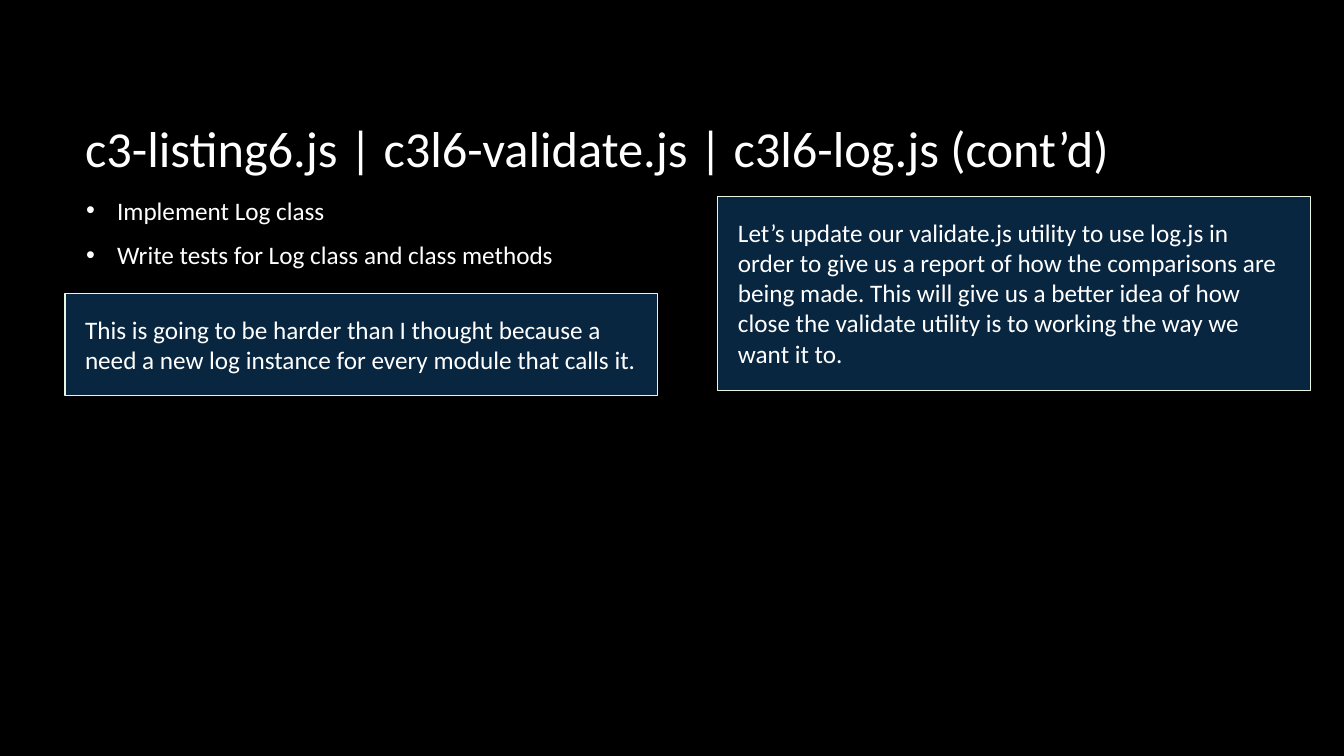
from dataclasses import dataclass

from lxml.etree import SubElement
from pptx import Presentation
from pptx.dml.color import RGBColor
from pptx.enum.shapes import MSO_SHAPE
from pptx.enum.text import MSO_ANCHOR, MSO_AUTO_SIZE, PP_ALIGN
from pptx.oxml.ns import qn
from pptx.util import Emu, Pt

PX = 914400 / 100.8  # EMU per pixel
FONT = "Calibri"
COLORS = {"bg": "000000", "text": "FFFFFF", "box": "08263F", "line": "EAF5E1"}


@dataclass(frozen=True)
class Note:
    left: int
    top: int
    width: int
    height: int
    text: str


NOTES = [
    Note(718, 197, 593, 194,
         "Let’s update our validate.js utility to use log.js in order to give us "
         "a report of how the comparisons are being made. This will give us a "
         "better idea of how close the validate utility is to working the way we "
         "want it to."),
    Note(65, 294, 593, 102,
         "This is going to be harder than I thought because a need a new log "
         "instance for every module that calls it."),
]
TASKS = ["Implement Log class", "Write tests for Log class and class methods"]


def px(n: float) -> Emu:
    return Emu(round(n * PX))


def color(name: str) -> RGBColor:
    return RGBColor.from_string(COLORS[name])


def place(sp, left: int, top: int, width: int, height: int) -> None:
    sp.left, sp.top, sp.width, sp.height = map(px, (left, top, width, height))


def add_bullet(p, indent: int) -> None:
    pPr = p._p.get_or_add_pPr()
    pPr.set("marL", str(px(indent)))
    pPr.set("indent", str(-px(indent)))
    clr = SubElement(pPr, qn("a:buClr"))
    SubElement(clr, qn("a:srgbClr"), val=COLORS["text"])
    SubElement(pPr, qn("a:buFont"), typeface="Arial")
    SubElement(pPr, qn("a:buChar"), char="•")


def write(sp, text: str, *, size: int = 18, anchor=MSO_ANCHOR.TOP,
          after: int = 0, indent: int = 0) -> None:
    """Fill a shape with one paragraph per line of text."""
    tf = sp.text_frame
    tf.text = text
    tf.word_wrap = True
    tf.auto_size = MSO_AUTO_SIZE.NONE
    tf.vertical_anchor = anchor
    for p in tf.paragraphs:
        p.alignment = PP_ALIGN.LEFT
        p.space_before, p.space_after = Pt(0), Pt(after)
        if indent:
            add_bullet(p, indent)
        for r in p.runs:
            r.font.name, r.font.size = FONT, Pt(size)
            r.font.color.rgb = color("text")


def add_note(shapes, note: Note) -> None:
    sp = shapes.add_shape(MSO_SHAPE.RECTANGLE, *map(
        px, (note.left, note.top, note.width, note.height)))
    sp.shadow.inherit = False
    sp.fill.solid()
    sp.fill.fore_color.rgb = color("box")
    sp.line.color.rgb = color("line")
    sp.line.width = Pt(0.75)
    write(sp, note.text)
    tf = sp.text_frame
    tf.margin_left = tf.margin_top = tf.margin_bottom = px(20)
    tf.margin_right = px(21)
    tf.auto_size = MSO_AUTO_SIZE.SHAPE_TO_FIT_TEXT


# Slide and background
prs = Presentation()
prs.slide_width, prs.slide_height = px(1344), px(756)
s = prs.slides.add_slide(prs.slide_layouts[1])
s.background.fill.solid()
s.background.fill.fore_color.rgb = color("bg")

# Title
title = s.shapes.title
place(title, 75, 67, 1117, 160)
write(title, "c3-listing6.js | c3l6-validate.js | c3l6-log.js (cont’d)",
      size=36, anchor=MSO_ANCHOR.MIDDLE)

# Task list
body = s.placeholders[1]
place(body, 76, 190, 550, 402)
write(body, "\n".join(TASKS), after=10, indent=31)

# Notes
for note in NOTES:
    add_note(s.shapes, note)

prs.save("out.pptx")
